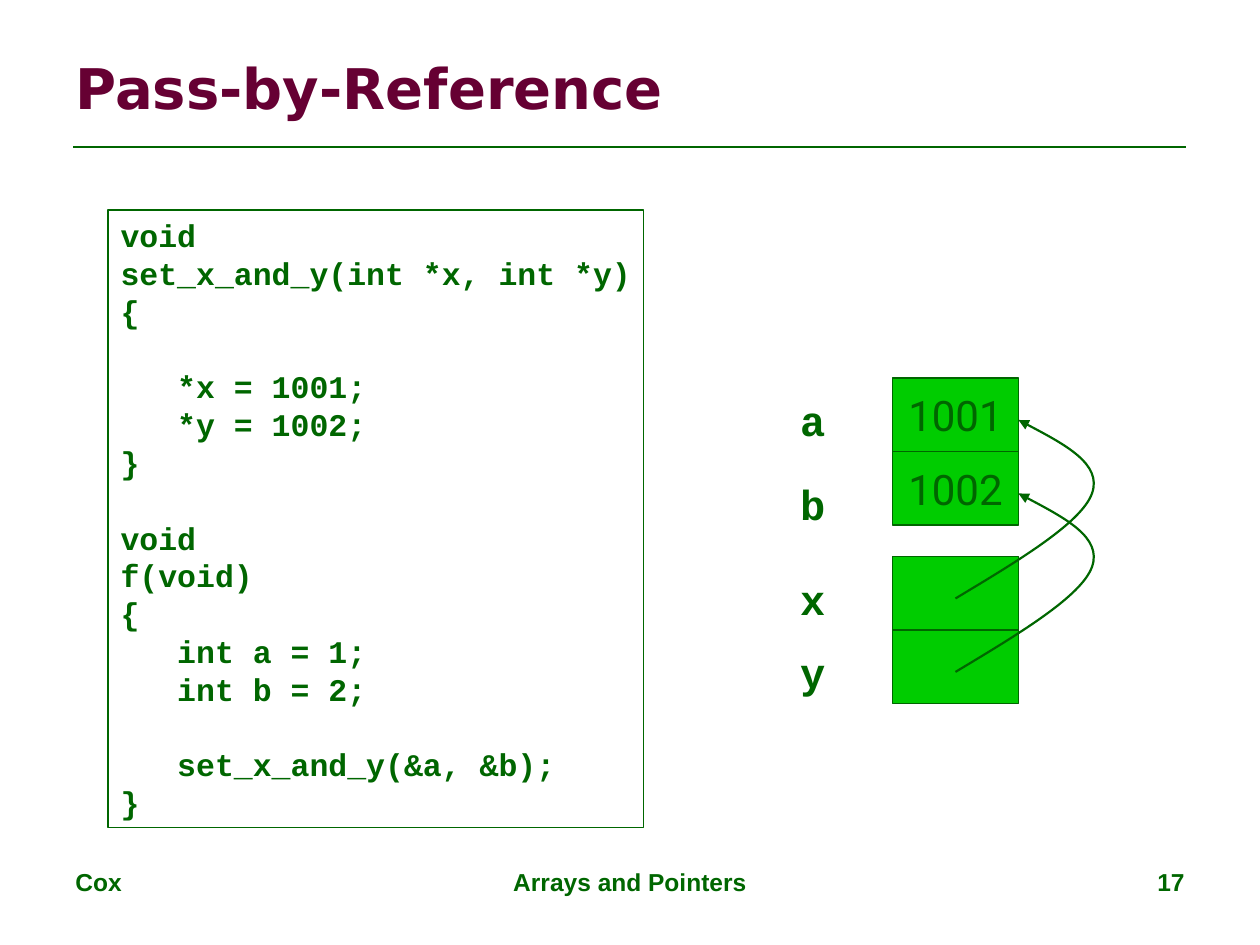
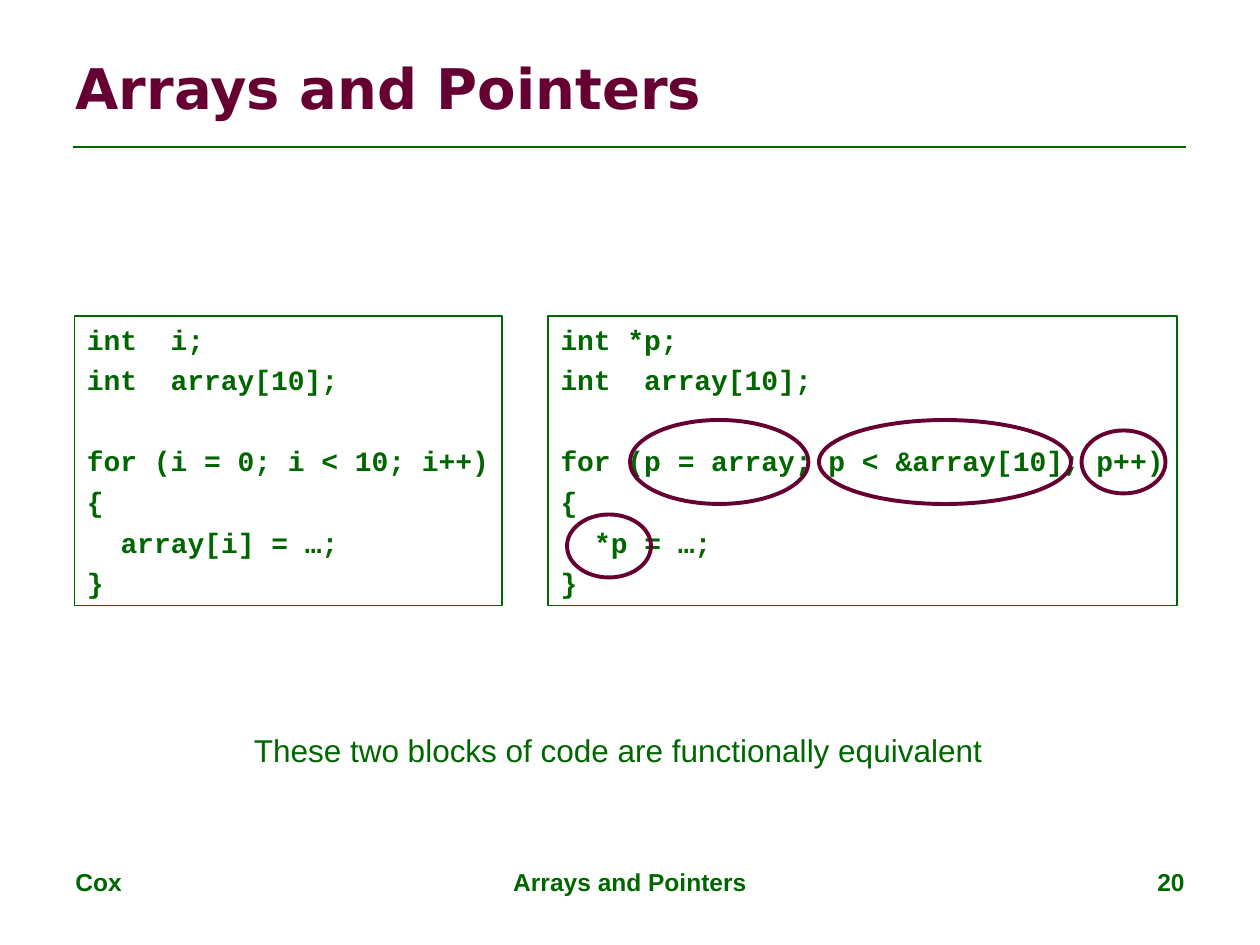
from dataclasses import dataclass

from lxml.etree import SubElement
from pptx import Presentation
from pptx.dml.color import RGBColor
from pptx.enum.shapes import MSO_CONNECTOR as Connector, MSO_SHAPE as Preset
from pptx.enum.text import MSO_ANCHOR as Anchor, MSO_AUTO_SIZE as AutoSize, PP_ALIGN as Align
from pptx.oxml.ns import qn
from pptx.shapes.autoshape import Shape
from pptx.slide import Slide
from pptx.text.text import TextFrame
from pptx.util import Emu, Pt

PX = 7620  # EMU per px, 120 px to the inch
GREEN, BRIGHT_GREEN, MAROON = "006600", "00CC00", "660033"
MONO, SANS = "Courier New", "Arial"
MONO_ADVANCE, MONO_LEADING = 0.6, 1.2  # share of the text size


@dataclass(frozen=True)
class Box:
    left: int
    top: int
    width: int
    height: int

    def emu(self) -> list[Emu]:
        return [px(v) for v in (self.left, self.top, self.width, self.height)]


@dataclass(frozen=True)
class Style:
    size: int
    name: str = SANS
    bold: bool = True
    color: str = GREEN
    align: Align = Align.LEFT


@dataclass(frozen=True)
class Listing:
    box: Box
    size: int
    gap: int
    code: str


TITLE = Style(32, "DejaVu Sans", color=MAROON)
VARIABLE = Style(24, MONO, align=Align.CENTER)
VALUE = Style(24, "Roboto", bold=False, align=Align.CENTER)
CAPTION = Style(18, bold=False)

SWAP_CODE = Listing(Box(103, 200, 510, 588), 18, 0, """\
void
set_x_and_y(int *x, int *y)
{

   *x = 1001;
   *y = 1002;
}

void
f(void)
{
   int a = 1;
   int b = 2;

   set_x_and_y(&a, &b);
}""")

INDEX_LOOP = Listing(Box(71, 301, 407, 276), 16, 4, """\
int  i;
int  array[10];

for (i = 0; i < 10; i++)
{
  array[i] = …;
}""")

POINTER_LOOP = Listing(Box(522, 301, 599, 276), 16, 4, """\
int *p;
int  array[10];

for (p = array; p < &array[10]; p++)
{
  *p = …;
}""")


def px(value: int) -> Emu:
    return Emu(value * PX)


def rgb(color: str) -> RGBColor:
    return RGBColor.from_string(color)


def write(frame: TextFrame, lines: list[str], style: Style, wrap: bool = False) -> None:
    """Fill a frame with one paragraph per line."""
    frame.word_wrap = wrap
    frame.auto_size = AutoSize.NONE
    font_values = {"name": style.name, "size": Pt(style.size), "bold": style.bold}
    for number, line in enumerate(lines):
        paragraph = frame.paragraphs[0] if number == 0 else frame.add_paragraph()
        paragraph.alignment = style.align
        if style.name == MONO:
            paragraph.line_spacing = Pt(style.size * MONO_LEADING)
        run = paragraph.add_run()
        run.text = line
        for key, value in font_values.items():
            setattr(run.font, key, value)
        run.font.color.rgb = rgb(style.color)


def add_label(slide: Slide, box: Box, text: str, style: Style, wrap: bool = False) -> None:
    write(slide.shapes.add_textbox(*box.emu()).text_frame, [text], style, wrap)


def outline(shape: Shape, color: str, width: float, fill: str | None = None) -> None:
    shape.shadow.inherit = False
    if fill:
        shape.fill.solid()
        shape.fill.fore_color.rgb = rgb(fill)
    else:
        shape.fill.background()
    shape.line.color.rgb = rgb(color)
    shape.line.width = Pt(width)


def add_outlined(slide: Slide, preset: Preset, box: Box, color: str = GREEN,
                 width: float = 0.75, fill: str | None = None) -> Shape:
    shape = slide.shapes.add_shape(preset, *box.emu())
    outline(shape, color, width, fill)
    return shape


def add_listing(slide: Slide, listing: Listing) -> None:
    """Draw boxed code; indents and empty lines become paragraph spacing."""
    frame = add_outlined(slide, Preset.RECTANGLE, listing.box).text_frame
    frame.vertical_anchor = Anchor.TOP
    source = listing.code.split("\n")
    code_lines = [line for line in source if line]
    write(frame, [line.lstrip() for line in code_lines], Style(listing.size, MONO))
    numbers = [number for number, line in enumerate(source) if line]
    for index, paragraph in enumerate(frame.paragraphs):
        depth = len(code_lines[index]) - len(code_lines[index].lstrip())
        if depth:
            indent = Pt(depth * MONO_ADVANCE * listing.size)
            paragraph._p.get_or_add_pPr().set("marL", str(indent))
        if index:
            skipped = numbers[index] - numbers[index - 1] - 1
            line_height = listing.size * MONO_LEADING + listing.gap
            paragraph.space_before = Pt(listing.gap + skipped * line_height)


def add_pointer(slide: Slide, start_y: int) -> None:
    """Draw a curved arrow from a pointer cell up to its variable."""
    left, top = 910, start_y - 170
    anchors = [(1040, start_y - 100), (970, top)]
    controls = [[(970, start_y - 36), (1030, start_y - 72)],
                [(1050, start_y - 128), (1010, start_y - 149)]]
    builder = slide.shapes.build_freeform(left, start_y, scale=PX)
    builder.add_line_segments(anchors, close=False)
    arrow = builder.convert_to_shape()
    outline(arrow, GREEN, 1.25)
    # Turn each straight segment into a Bézier curve
    segments = list(arrow._element.iter(qn("a:lnTo")))
    for segment, handles, anchor in zip(segments, controls, anchors):
        segment.tag = qn("a:cubicBezTo")
        for old in list(segment):
            segment.remove(old)
        for x, y in [*handles, anchor]:
            SubElement(segment, qn("a:pt"), x=str(x - left), y=str(y - top))
    SubElement(arrow.line._get_or_add_ln(), qn("a:tailEnd"), type="triangle")


def add_slide(deck: Presentation, title: str, number: int) -> Slide:
    """Start a slide with its title, rule and footer."""
    slide = deck.slides.add_slide(deck.slide_layouts[5])
    heading = slide.shapes.title
    heading.left, heading.top, heading.width, heading.height = Box(60, 36, 1080, 94).emu()
    heading.text_frame.vertical_anchor = Anchor.MIDDLE
    write(heading.text_frame, [title], TITLE, wrap=True)

    rule = slide.shapes.add_connector(Connector.STRAIGHT, px(70), px(140), px(1130), px(140))
    rule.line.color.rgb = rgb(GREEN)
    rule.line.width = Pt(1.5)
    SubElement(rule._element.spPr, qn("a:effectLst"))

    for left, width, text, align in ((60, 280, "Cox", Align.LEFT),
                                     (410, 380, "Arrays and Pointers", Align.CENTER),
                                     (860, 280, str(number), Align.RIGHT)):
        add_label(slide, Box(left, 820, width, 62), text, Style(14, align=align), wrap=True)
    return slide


def add_reference_slide(deck: Presentation) -> None:
    slide = add_slide(deck, "Pass-by-Reference", 17)
    add_listing(slide, SWAP_CODE)

    # Variable names
    for name, top in (("a", 370), ("b", 450), ("x", 540), ("y", 610)):
        add_label(slide, Box(750, top, 48, 60), name, VARIABLE)

    # Pointer cells, their arrows, then the cells they point to
    pointer_tops = (530, 600)
    for top in pointer_tops:
        add_outlined(slide, Preset.RECTANGLE, Box(850, top, 120, 70), fill=BRIGHT_GREEN)
    for top in pointer_tops:
        add_pointer(slide, top + 40)
    for value, top in (("1001", 360), ("1002", 430)):
        cell = add_outlined(slide, Preset.RECTANGLE, Box(850, top, 120, 70), fill=BRIGHT_GREEN)
        cell.text_frame.vertical_anchor = Anchor.MIDDLE
        write(cell.text_frame, [value], VALUE)


def add_equivalence_slide(deck: Presentation) -> None:
    slide = add_slide(deck, "Arrays and Pointers", 20)
    for listing in (INDEX_LOOP, POINTER_LOOP):
        add_listing(slide, listing)

    # Rings round the pointer expressions
    for ring in (Box(600, 400, 170, 80), Box(780, 400, 240, 80),
                 Box(1030, 410, 80, 60), Box(540, 490, 80, 60)):
        add_outlined(slide, Preset.OVAL, ring, MAROON, 2.25)

    add_label(slide, Box(230, 690, 718, 48),
              "These two blocks of code are functionally equivalent", CAPTION)


def main() -> None:
    deck = Presentation()
    deck.slide_width, deck.slide_height = px(1200), px(900)
    add_reference_slide(deck)
    add_equivalence_slide(deck)
    deck.save("out.pptx")


if __name__ == "__main__":
    main()
